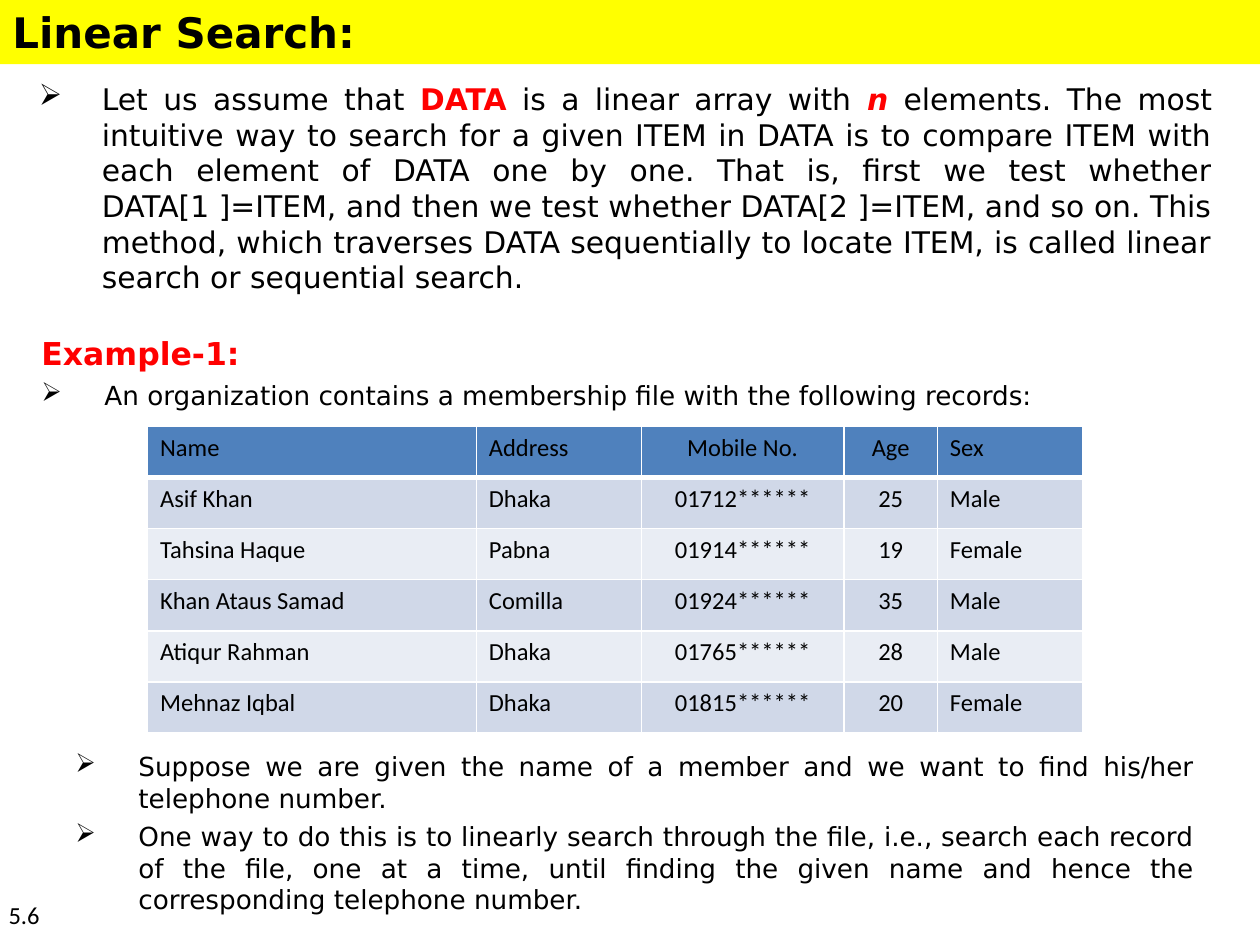
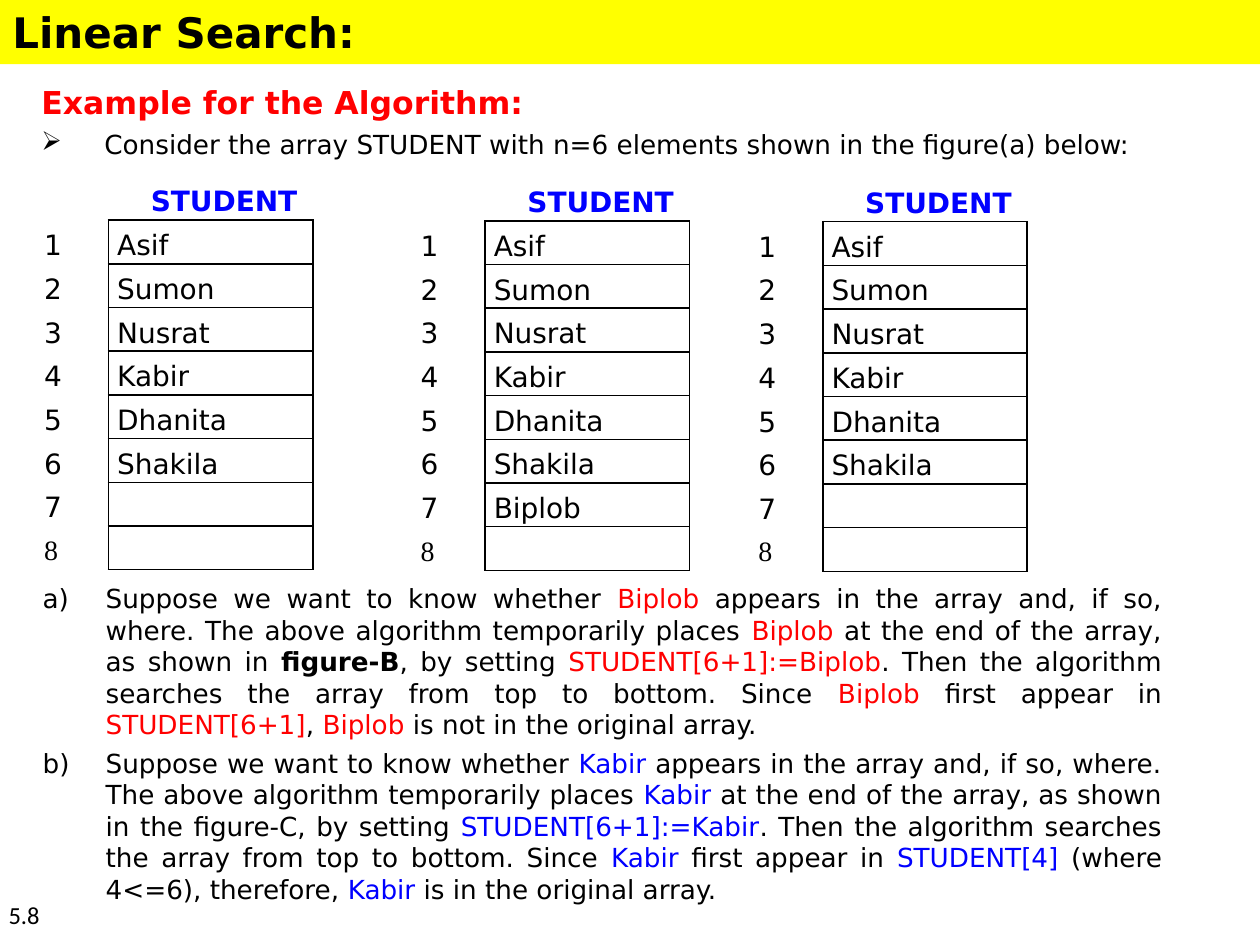
from pptx import Presentation
from pptx.dml.color import RGBColor
from pptx.enum.shapes import MSO_SHAPE as SHAPE
from pptx.enum.text import MSO_ANCHOR as ANCHOR, PP_ALIGN as ALIGN
from pptx.oxml.ns import qn
from pptx.util import Pt
from lxml.etree import SubElement

BODY, TABLE, SERIF = "DejaVu Sans", "Calibri", "Times New Roman"
BLACK, RED, BLUE, WHITE, YELLOW = "000000", "FF0000", "0000FF", "FFFFFF", "FFFF00"
HEAD, DARK, LIGHT = "4F81BD", "D0D8E8", "E9EDF4"
NO_STYLE = "{2D5ABB26-0587-4C30-8999-92F81FD0307C}"
ARROW = ("buChar", {"char": "➢"})
LETTER = ("buAutoNum", {"type": "alphaLcParenR"})


def rgb(value):
    return RGBColor.from_string(value)


def text(tf, runs, size=15, color=BLACK, bold=False, font=BODY,
         align=ALIGN.JUSTIFY, bullet=None, space=0, spacing=None):
    p = tf.paragraphs[0]
    if p.runs:
        p = tf.add_paragraph()
        p.space_before = Pt(space)
    p.space_after = Pt(space)
    p.alignment = align
    if spacing:
        p.line_spacing = spacing
    if bullet:
        pPr = p._p.get_or_add_pPr()
        pPr.set("marL", str(Pt(36)))
        pPr.set("indent", str(-Pt(36)))
        SubElement(pPr, qn("a:" + bullet[0]), bullet[1])
    for run in [runs] if isinstance(runs, str) else runs:
        words, look = (run, {}) if isinstance(run, str) else run
        r = p.add_run()
        r.text = words
        r.font.name = font
        r.font.size = Pt(size)
        r.font.bold = look.get("bold", bold)
        r.font.italic = look.get("italic", False)
        r.font.color.rgb = rgb(look.get("color", color))


heading = dict(size=18, color=RED, bold=True, space=2)
item = dict(bullet=ARROW, space=2)
step = dict(bullet=LETTER, space=2)
red, blue, strong = dict(color=RED), dict(color=BLUE), dict(bold=True)

pages = [
    ("5.6", [
        ((15.1, 42.5, 684.7, 131), ANCHOR.TOP, [
            (["Let us assume that ", ("DATA", dict(color=RED, bold=True)),
              " is a linear array with ", ("n", dict(color=RED, bold=True, italic=True)),
              " elements. The most intuitive way to search for a given ITEM in DATA is to "
              "compare ITEM with each element of DATA one by one. That is, first we test "
              "whether DATA[1 ]=ITEM, and then we test whether DATA[2 ]=ITEM, and so on. "
              "This method, which traverses DATA sequentially to locate ITEM, is called "
              "linear search or sequential search."],
             dict(size=17, bullet=ARROW, space=6))]),
        ((16.6, 187.2, 684, 51.1), ANCHOR.MIDDLE, [
            ("Example-1:", heading),
            ("An organization contains a membership file with the following records:", item)]),
        ((36, 424.8, 653.8, 102.2), ANCHOR.MIDDLE, [
            ("Suppose we are given the name of a member and we want to find his/her "
             "telephone number.", item),
            ("One way to do this is to linearly search through the file, i.e., search each "
             "record of the file, one at a time, until finding the given name and hence the "
             "corresponding telephone number.", item)]),
    ]),
    ("5.8", [
        ((16.6, 43.9, 684, 51.1), ANCHOR.MIDDLE, [
            ("Example for the Algorithm:", heading),
            ("Consider the array STUDENT with n=6 elements shown in the figure(a) below:", item)]),
        ((17.3, 328.3, 653.8, 193), ANCHOR.MIDDLE, [
            (["Suppose we want to know whether ", ("Biplob ", red),
              "appears in the array and, if so, where. The above algorithm temporarily places ",
              ("Biplob ", red), "at the end of the array, as shown in ", ("figure-B", strong),
              ", by setting ", ("STUDENT[6+1]:=Biplob", red),
              ". Then the algorithm searches the array from top to bottom. Since ",
              ("Biplob", red), " first appear in ", ("STUDENT[6+1]", red), ", ",
              ("Biplob", red), " is not in the original array."], step),
            (["Suppose we want to know whether ", ("Kabir", blue),
              " appears in the array and, if so, where. The above algorithm temporarily places ",
              ("Kabir", blue), " at the end of the array, as shown in the figure-C, by setting ",
              ("STUDENT[6+1]:=Kabir", blue),
              ". Then the algorithm searches the array from top to bottom. Since ",
              ("Kabir", blue), " first appear in ", ("STUDENT[4]", blue),
              " (where 4<=6), therefore, ", ("Kabir", blue), " is in the original array."], step)]),
    ]),
]

prs = Presentation()
prs.slide_width, prs.slide_height = Pt(720), Pt(540)

for number, boxes in pages:
    s = prs.slides.add_slide(prs.slide_layouts[6])
    band = s.shapes.add_shape(SHAPE.RECTANGLE, 0, 0, Pt(720), Pt(36.7))
    band.shadow.inherit = False
    band.fill.solid()
    band.fill.fore_color.rgb = rgb(YELLOW)
    band.line.fill.background()
    band.text_frame.vertical_anchor = ANCHOR.TOP
    text(band.text_frame, "Linear Search:", size=24, bold=True, align=ALIGN.LEFT)

    page_number = ((-2.2, 510.5, 59, 29.5), ANCHOR.TOP,
                   [(number, dict(size=14, font=TABLE, align=ALIGN.LEFT))])
    for at, anchor, paragraphs in boxes + [page_number]:
        tf = s.shapes.add_textbox(*map(Pt, at)).text_frame
        tf.word_wrap = True
        tf.vertical_anchor = anchor
        for words, look in paragraphs:
            text(tf, words, **look)

records = [
    ("Name", "Address", "Mobile No.", "Age", "Sex"),
    ("Asif Khan", "Dhaka", "01712******", "25", "Male"),
    ("Tahsina Haque", "Pabna", "01914******", "19", "Female"),
    ("Khan Ataus Samad", "Comilla", "01924******", "35", "Male"),
    ("Atiqur Rahman", "Dhaka", "01765******", "28", "Male"),
    ("Mehnaz Iqbal", "Dhaka", "01815******", "20", "Female"),
]
names = ["Asif", "Sumon", "Nusrat", "Kabir", "Dhanita", "Shakila"]
arrays = [(20.2, 100.8, names), (235.4, 101.2, names + ["Biplob"]), (428.4, 101.7, names)]

members, students = prs.slides
grids = [(members, 84.3, 243.7, [187.9, 94.3, 115.9, 53.3, 82.8], 29.2, records)]
for left, top, filled in arrays:
    slots = filled + [""] * (8 - len(filled))
    rows = [("STUDENT", "")] + [(str(i), name) for i, name in enumerate(slots, 1)]
    grids.append((students, left, top, [41.8, 116.8], 25, rows))

for s, left, top, widths, height, rows in grids:
    tbl = s.shapes.add_table(len(rows), len(widths), Pt(left), Pt(top),
                             Pt(sum(widths)), Pt(height * len(rows))).table
    tbl._tbl.tblPr.find(qn("a:tableStyleId")).text = NO_STYLE
    tbl.first_row = tbl.horz_banding = False
    for column, width in zip(tbl.columns, widths):
        column.width = Pt(width)
    if s == students:
        tbl.cell(0, 0).merge(tbl.cell(0, 1))

    for i, row in enumerate(rows):
        tbl.rows[i].height = Pt(height)
        for j, value in enumerate(row):
            cell = tbl.cell(i, j)
            borders = {}
            if s == members:
                fill = HEAD if i == 0 else DARK if i % 2 else LIGHT
                look = dict(size=14, font=TABLE,
                            align=ALIGN.CENTER if j in (2, 3) else ALIGN.LEFT)
                borders = dict.fromkeys(["L", "R", "T", "B"], (WHITE, 1))
                if i == 0:
                    borders["B"] = (WHITE, 3)
            else:
                fill = None
                look = dict(size=16, spacing=1.3, bold=i == 0, color=BLACK if i else BLUE,
                            font=SERIF if value == "8" else BODY)
                cell.margin_left = Pt(5 if i else 66)
                cell.margin_right = Pt(5)
                cell.margin_top = cell.margin_bottom = 0
                if i:
                    borders = dict.fromkeys(["L", "R", "T", "B"] if j else ["R"], (BLACK, 1))
            if value:
                text(cell.text_frame, value, **look)
            tcPr = cell._tc.get_or_add_tcPr()
            for side, (color, width) in borders.items():
                ln = SubElement(tcPr, qn("a:ln" + side), w=str(Pt(width)))
                SubElement(SubElement(ln, qn("a:solidFill")), qn("a:srgbClr"), val=color)
            if fill:
                cell.fill.solid()
                cell.fill.fore_color.rgb = rgb(fill)
            else:
                cell.fill.background()

prs.save("out.pptx")
